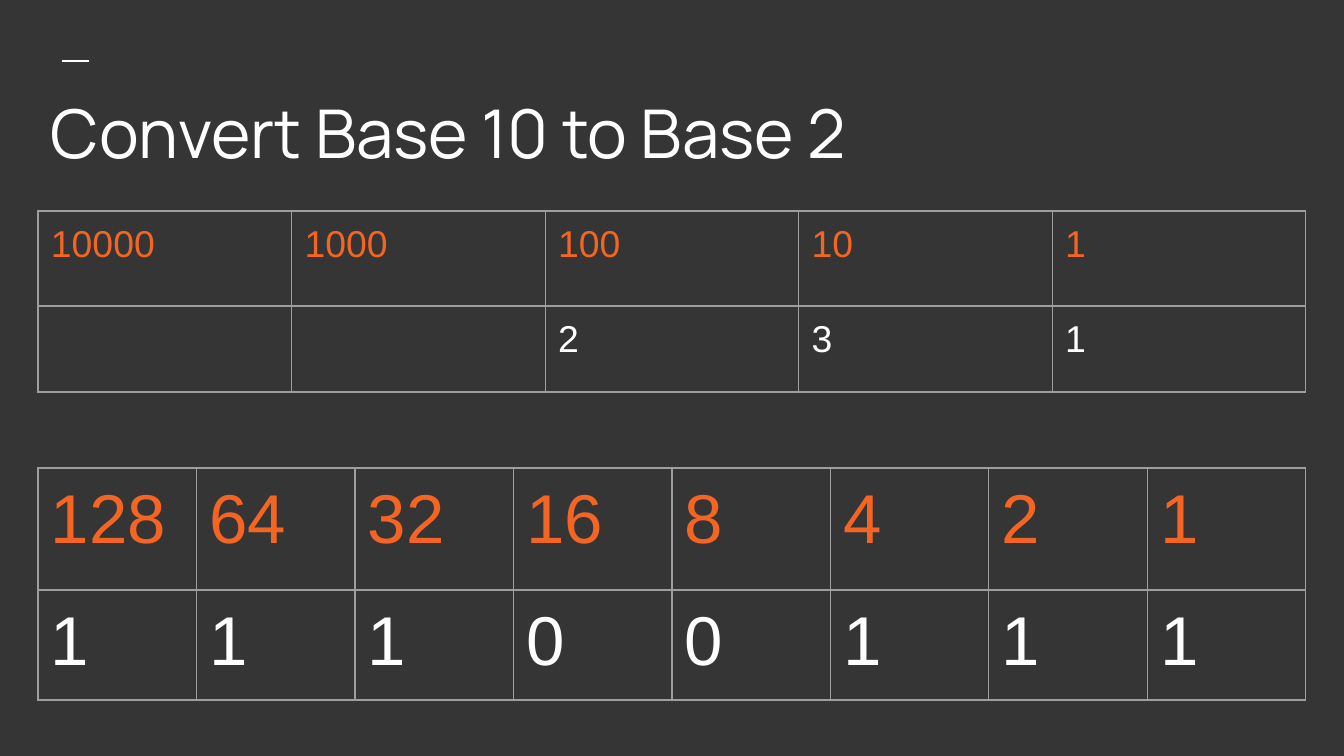
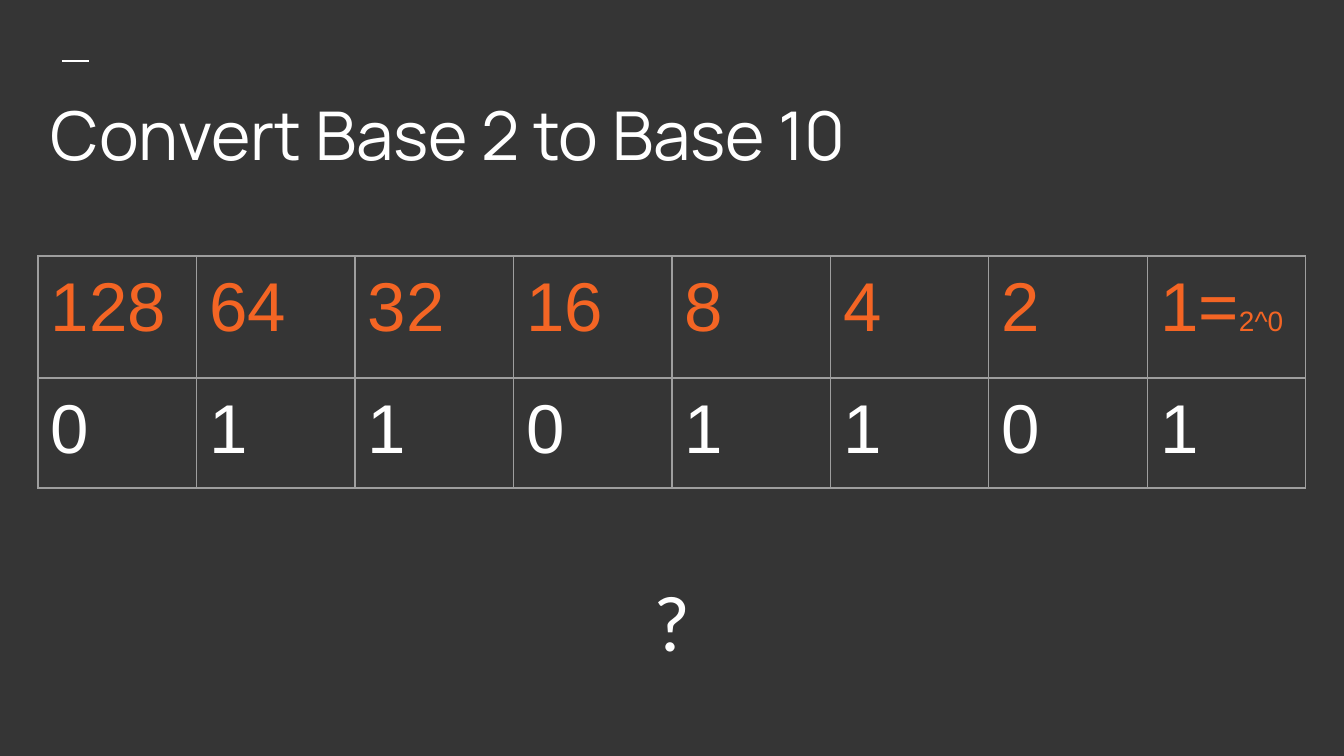
from dataclasses import dataclass

from lxml.etree import SubElement
from pptx import Presentation
from pptx.dml.color import RGBColor as Rgb
from pptx.enum.shapes import MSO_CONNECTOR as Wire
from pptx.enum.text import MSO_ANCHOR as Anchor, PP_ALIGN as Align
from pptx.oxml.ns import qn
from pptx.util import Emu, Pt


@dataclass(frozen=True)
class Theme:
    back: str = "353535"
    text: str = "FFFFFF"
    accent: str = "F46524"
    grid: str = "9E9E9E"
    head: str = "Manrope"
    body: str = "Arial"
    alt: str = "Lato"
    title: int = 36
    small: int = 20
    big: int = 37
    note: int = 15
    mark: int = 40


THEME = Theme()
SCALE = 914400 / 134.4
WIDE, HIGH = 1344, 756
LEFT, SPAN = 38, 1268
PAD = 13
BITS = ["128", "64", "32", "16", "8", "4", "2"]


def px(count):
    return Emu(round(count * SCALE))


def style(para, face, size, color):
    font = para.font
    font.name, font.size = face, Pt(size)
    font.color.rgb = Rgb.from_string(color)


def inset(part):
    part.margin_left = part.margin_right = px(PAD)
    part.margin_top = part.margin_bottom = px(PAD)


def label(slide, box, text, face, size, anchor=Anchor.TOP):
    frame = slide.shapes.add_textbox(*map(px, box)).text_frame
    frame.word_wrap = True
    frame.vertical_anchor = anchor
    inset(frame)
    para = frame.paragraphs[0]
    para.text = text
    style(para, face, size, THEME.text)
    return para


def base(deck, title, top):
    slide = deck.slides.add_slide(deck.slide_layouts[6])
    fill = slide.background.fill
    fill.solid()
    fill.fore_color.rgb = Rgb.from_string(THEME.back)
    dash = slide.shapes.add_connector(
        Wire.STRAIGHT, px(62), px(61), px(89), px(61))
    dash.line.color.rgb = Rgb.from_string(THEME.text)
    dash.line.width = Pt(1.5)
    SubElement(dash._element.spPr, qn("a:effectLst"))
    para = label(slide, (LEFT, top, SPAN, 105), title,
                 THEME.head, THEME.title, Anchor.MIDDLE)
    para.space_after = Pt(10)
    return slide


def border(cell):
    props = cell._tc.get_or_add_tcPr()
    for side in ("a:lnL", "a:lnR", "a:lnT", "a:lnB"):
        line = SubElement(props, qn(side), w=str(Pt(0.75)))
        fill = SubElement(line, qn("a:solidFill"))
        SubElement(fill, qn("a:srgbClr"), val=THEME.grid)


def grid(slide, box, rows, highs, size):
    left, top, wide = box
    count = len(rows[0])
    table = slide.shapes.add_table(
        len(rows), count, px(left), px(top), px(wide), px(sum(highs))).table
    table.first_row = table.horz_banding = False
    for col in table.columns:
        col.width = px(wide / count)
    colors = (THEME.accent, THEME.text)
    for row, texts, high, color in zip(table.rows, rows, highs, colors):
        row.height = px(high)
        for cell, text in zip(row.cells, texts):
            inset(cell)
            border(cell)
            cell.fill.background()
            para = cell.text_frame.paragraphs[0]
            para.text = text
            style(para, THEME.body, size, color)
    return table


def binary(slide, top, last, bits):
    return grid(slide, (LEFT, top, SPAN), [BITS + [last], list(bits)],
                (122, 110), THEME.big)


def to_two(deck):
    slide = base(deck, "Convert Base 10 to Base 2", 79)
    tens = [["10000", "1000", "100", "10", "1"], ["", "", "2", "3", "1"]]
    grid(slide, (LEFT, 211, SPAN), tens, (95, 86), THEME.small)
    binary(slide, 468, "1", "11100111")


def to_ten(deck):
    slide = base(deck, "Convert Base 2 to Base 10", 81)
    table = binary(slide, 256, "1=", "01101101")
    power = table.cell(0, len(BITS)).text_frame.paragraphs[0].add_run()
    power.text = "2^0"
    power.font.size = Pt(THEME.note)
    mark = label(slide, (LEFT, 564, SPAN, 118), "?", THEME.alt, THEME.mark)
    mark.alignment = Align.CENTER


def main():
    deck = Presentation()
    deck.slide_width, deck.slide_height = px(WIDE), px(HIGH)
    to_two(deck)
    to_ten(deck)
    deck.save("out.pptx")


if __name__ == "__main__":
    main()
